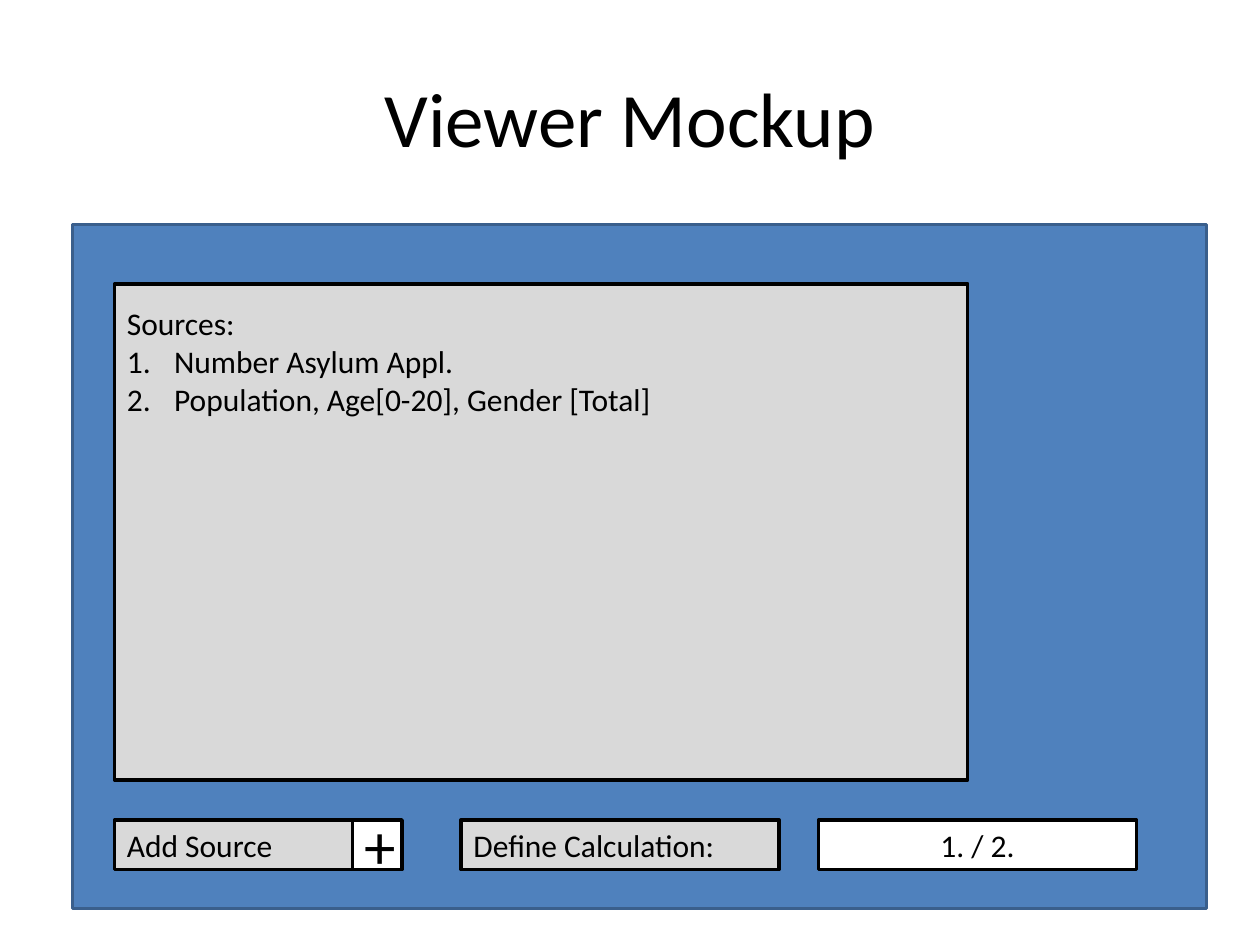
from dataclasses import dataclass

from lxml import etree
from pptx import Presentation
from pptx.dml.color import RGBColor
from pptx.enum.shapes import MSO_SHAPE
from pptx.enum.text import MSO_ANCHOR, PP_ALIGN
from pptx.oxml.ns import qn
from pptx.util import Pt

RECTANGLE = MSO_SHAPE.RECTANGLE
TOP, MIDDLE = MSO_ANCHOR.TOP, MSO_ANCHOR.MIDDLE
LEFT, CENTER = PP_ALIGN.LEFT, PP_ALIGN.CENTER


@dataclass(frozen=True)
class Theme:
    font: str = "Calibri"
    text: str = "000000"
    panel: str = "4F81BD"
    panel_line: str = "3A5F8C"
    label: str = "D9D9D9"
    field: str = "FFFFFF"
    title_size: int = 44
    body_size: int = 18
    plus_size: int = 36
    line_width: int = 2


THEME = Theme()

# Content
TITLE = "Viewer Mockup"
SOURCES_HEADING = "Sources:"
SOURCES = ["Number Asylum Appl.", "Population, Age[0-20], Gender [Total]"]

# Layout, in points: left, top, width, height
TITLE_BOX = (36, 21.6, 648, 90)
PANEL_BOX = (41.5, 128.2, 648, 391)
SOURCES_BOX = (65.4, 162.2, 487.6, 283.5)
SOURCES_INSET = 11.5
LIST_INDENT = 27
CONTROL_TOP, CONTROL_HEIGHT = 468.6, 28.3

# Bottom row: text, left, width, fill, alignment, type size
CONTROLS = [
    ("Add Source", 65.4, 136.1, THEME.label, LEFT, THEME.body_size),
    ("+", 201.5, 28.3, THEME.field, CENTER, THEME.plus_size),
    ("Define Calculation:", 263.5, 181.8, THEME.label, LEFT, THEME.body_size),
    ("1. / 2.", 467.7, 181.8, THEME.field, CENTER, THEME.body_size),
]


def color(value):
    return RGBColor.from_string(value)


def format_paragraph(paragraph, size, alignment):
    paragraph.alignment = alignment
    paragraph.font.name = THEME.font
    paragraph.font.size = Pt(size)
    paragraph.font.color.rgb = color(THEME.text)


def number_paragraph(paragraph):
    properties = paragraph._p.get_or_add_pPr()
    properties.set("marL", str(Pt(LIST_INDENT)))
    properties.set("indent", str(-Pt(LIST_INDENT)))
    etree.SubElement(properties, qn("a:buFont"), typeface="+mj-lt")
    etree.SubElement(properties, qn("a:buAutoNum"), type="arabicPeriod")


def add_box(slide, box, fill, line=THEME.text):
    shape = slide.shapes.add_shape(RECTANGLE, *map(Pt, box))
    shape.shadow.inherit = False
    shape.fill.solid()
    shape.fill.fore_color.rgb = color(fill)
    shape.line.color.rgb = color(line)
    shape.line.width = Pt(THEME.line_width)
    return shape


def add_title(slide):
    title = slide.shapes.title
    title.left, title.top, title.width, title.height = map(Pt, TITLE_BOX)
    title.text_frame.text = TITLE
    title.text_frame.vertical_anchor = MIDDLE
    format_paragraph(title.text_frame.paragraphs[0], THEME.title_size, CENTER)


def add_sources(slide):
    frame = add_box(slide, SOURCES_BOX, THEME.label).text_frame
    frame.vertical_anchor = TOP
    frame.margin_top = Pt(SOURCES_INSET)
    frame.text = "\n".join([SOURCES_HEADING, *SOURCES])
    for paragraph in frame.paragraphs[1:]:
        number_paragraph(paragraph)
    for paragraph in frame.paragraphs:
        format_paragraph(paragraph, THEME.body_size, LEFT)


def add_controls(slide):
    for text, left, width, fill, alignment, size in CONTROLS:
        box = (left, CONTROL_TOP, width, CONTROL_HEIGHT)
        frame = add_box(slide, box, fill).text_frame
        frame.vertical_anchor = MIDDLE
        frame.text = text
        format_paragraph(frame.paragraphs[0], size, alignment)


def main():
    presentation = Presentation()
    presentation.slide_width, presentation.slide_height = Pt(720), Pt(540)
    slide = presentation.slides.add_slide(presentation.slide_layouts[5])

    add_title(slide)
    add_box(slide, PANEL_BOX, THEME.panel, THEME.panel_line)
    add_sources(slide)
    add_controls(slide)
    presentation.save("out.pptx")


if __name__ == "__main__":
    main()
